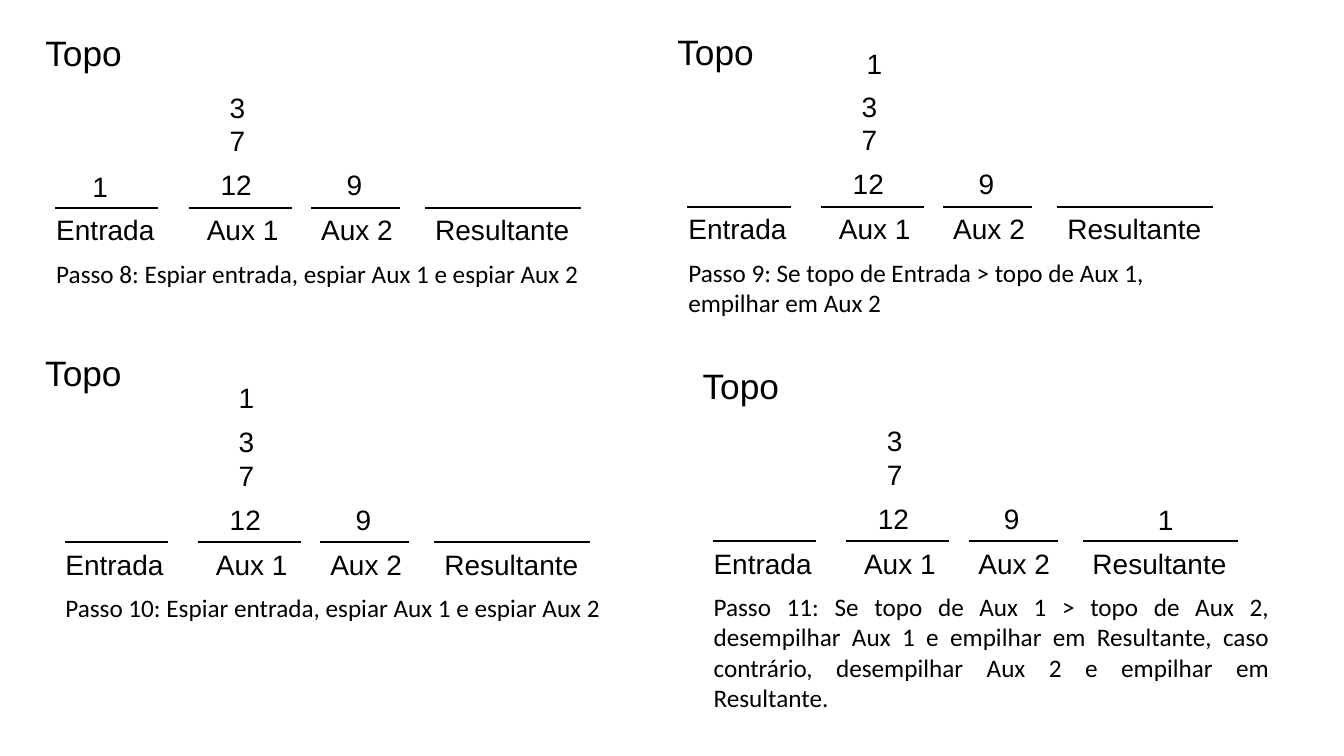
from dataclasses import dataclass

from lxml import etree
from pptx import Presentation
from pptx.dml.color import RGBColor
from pptx.enum import shapes, text
from pptx.oxml import ns
from pptx.util import Pt

BLACK = RGBColor(0x00, 0x00, 0x00)
LEFT = text.PP_ALIGN.LEFT
JUSTIFY = text.PP_ALIGN.JUSTIFY

HEADING_FONT = {"name": "Arial", "size": Pt(25.2), "bold": False}
STACK_FONT = {"name": "Arial", "size": Pt(20)}
STEP_FONT = {"name": "Calibri", "size": Pt(18)}

HEADING_SIZE = (69.1, 38.9)
ROW_HEIGHT = 31.7
STEP_DROP = 32.4


@dataclass(frozen=True)
class Stack:
    """A labelled base line; offsets are from the panel's left edge."""
    label: str
    label_x: float
    label_width: float
    base_x: float
    base_width: float


@dataclass(frozen=True)
class Item:
    """A stacked number, placed from the panel's left edge and base line."""
    value: str
    x: float
    y: float
    width: float


@dataclass(frozen=True)
class Panel:
    left: float
    base: float
    heading_x: float
    heading_y: float
    one: Item
    step: str
    step_width: float = 406.1
    step_height: float = 29.1
    step_align: text.PP_ALIGN = LEFT


STACKS = [
    Stack("Entrada", 0, 98.6, 6.5, 73.6),
    Stack("Aux 1", 107.5, 72.7, 101.6, 73.6),
    Stack("Aux 2", 189.2, 72.7, 189.2, 63.6),
    Stack("Resultante", 270.7, 115.2, 270.7, 111.1),
]

FIXED_ITEMS = [
    Item("12", 117.4, -31.9, 41.8),
    Item("7", 123.8, -63.5, 28.8),
    Item("3", 123.8, -87.3, 20.2),
    Item("9", 207.4, -31.9, 27.4),
]

PANELS = [
    Panel(33.1, 148.3, 25.2, 22.3, Item("1", 25.9, -30.8, 21.6),
          "Passo 8: Espiar entrada, espiar Aux 1 e espiar Aux 2"),
    Panel(484.6, 147.6, 476.8, 21.6, Item("1", 127.4, -118.1, 21.6),
          "Passo 9: Se topo de Entrada > topo de Aux 1, empilhar em Aux 2",
          step_height=51.1),
    Panel(39.6, 387.2, 25.2, 250.6, Item("1", 123.8, -118.6, 21.6),
          "Passo 10: Espiar entrada, espiar Aux 1 e espiar Aux 2"),
    Panel(502.6, 386.5, 494.8, 259.9, Item("1", 317.5, -30.8, 21.6),
          "Passo 11: Se topo de Aux 1 > topo de Aux 2, desempilhar Aux 1 e "
          "empilhar em Resultante, caso contrário, desempilhar Aux 2 e "
          "empilhar em Resultante.",
          step_width=411.1, step_height=94.3, step_align=JUSTIFY),
]


def write(box, words: str, font_format: dict, align=LEFT):
    """Fill a text box or placeholder and return its paragraph."""
    frame = box.text_frame
    frame.word_wrap = True
    frame.auto_size = text.MSO_AUTO_SIZE.NONE
    frame.vertical_anchor = text.MSO_ANCHOR.TOP
    paragraph = frame.paragraphs[0]
    paragraph.alignment = align
    run = paragraph.add_run()
    run.text = words
    for attribute, value in font_format.items():
        setattr(run.font, attribute, value)
    run.font.color.rgb = BLACK
    return paragraph


def add_words(slide, x: float, y: float, width: float, height: float,
              words: str, font_format: dict, align=LEFT) -> None:
    box = slide.shapes.add_textbox(Pt(x), Pt(y), Pt(width), Pt(height))
    write(box, words, font_format, align)


def add_heading(slide, panel: Panel, is_title: bool) -> None:
    """Write the panel heading; the first one is the slide title."""
    position = [Pt(v) for v in (panel.heading_x, panel.heading_y, *HEADING_SIZE)]
    if is_title:
        heading = slide.shapes.title
        heading.left, heading.top, heading.width, heading.height = position
    else:
        heading = slide.shapes.add_textbox(*position)
    paragraph = write(heading, "Topo", HEADING_FONT)
    paragraph.line_spacing = 0.9
    paragraph.space_before = Pt(10)


def add_base(slide, x: float, y: float, width: float) -> None:
    base = slide.shapes.add_connector(
        shapes.MSO_CONNECTOR.STRAIGHT, Pt(x), Pt(y), Pt(x + width), Pt(y))
    base.line.color.rgb = BLACK
    base.line.width = Pt(1.5)
    etree.SubElement(base._element.spPr, ns.qn("a:effectLst"))


def add_panel(slide, panel: Panel, is_title: bool) -> None:
    add_heading(slide, panel, is_title)
    for stack in STACKS:
        add_words(slide, panel.left + stack.label_x, panel.base,
                  stack.label_width, ROW_HEIGHT, stack.label, STACK_FONT)
        add_base(slide, panel.left + stack.base_x, panel.base, stack.base_width)
    for item in [*FIXED_ITEMS, panel.one]:
        add_words(slide, panel.left + item.x, panel.base + item.y,
                  item.width, ROW_HEIGHT, item.value, STACK_FONT)
    add_words(slide, panel.left, panel.base + STEP_DROP, panel.step_width,
              panel.step_height, panel.step, STEP_FONT, panel.step_align)


def main() -> None:
    deck = Presentation()
    deck.slide_width, deck.slide_height = Pt(960), Pt(540)
    slide = deck.slides.add_slide(deck.slide_layouts.get_by_name("Title Only"))
    for number, panel in enumerate(PANELS):
        add_panel(slide, panel, is_title=number == 0)
    deck.save("out.pptx")


if __name__ == "__main__":
    main()
